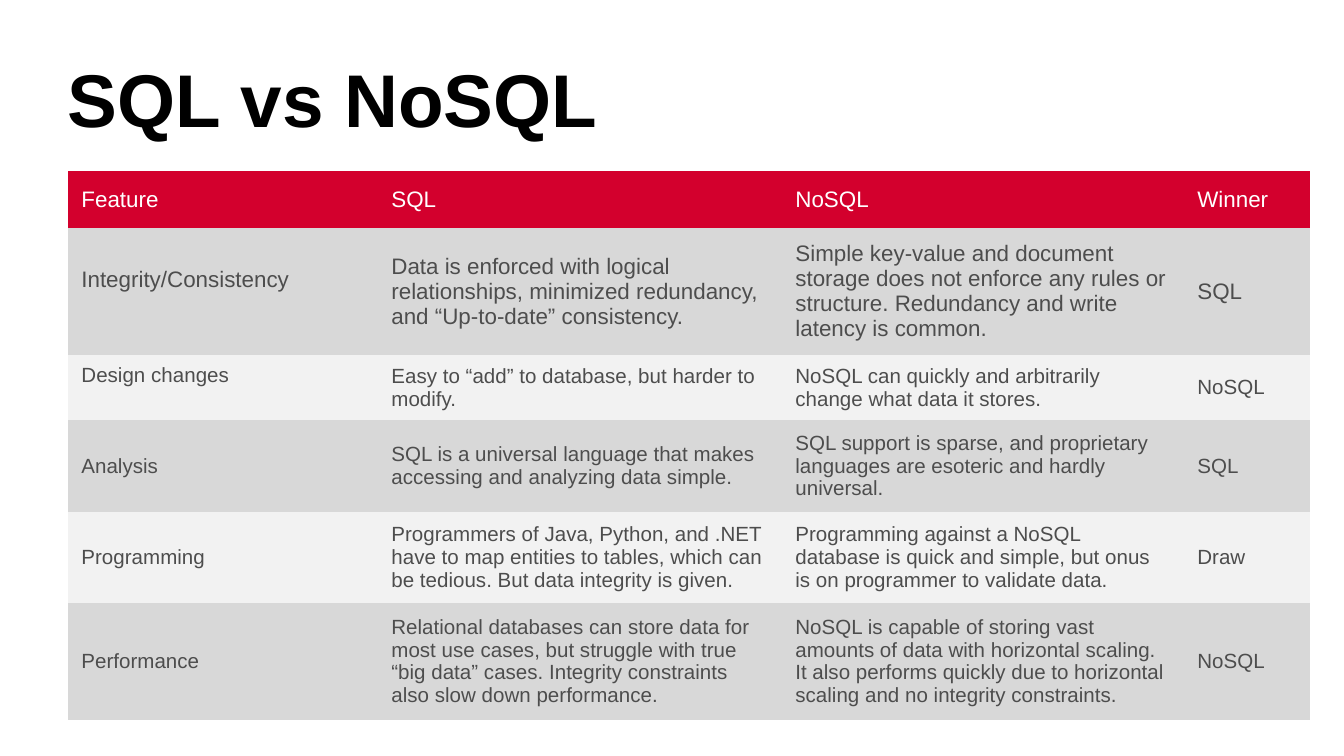
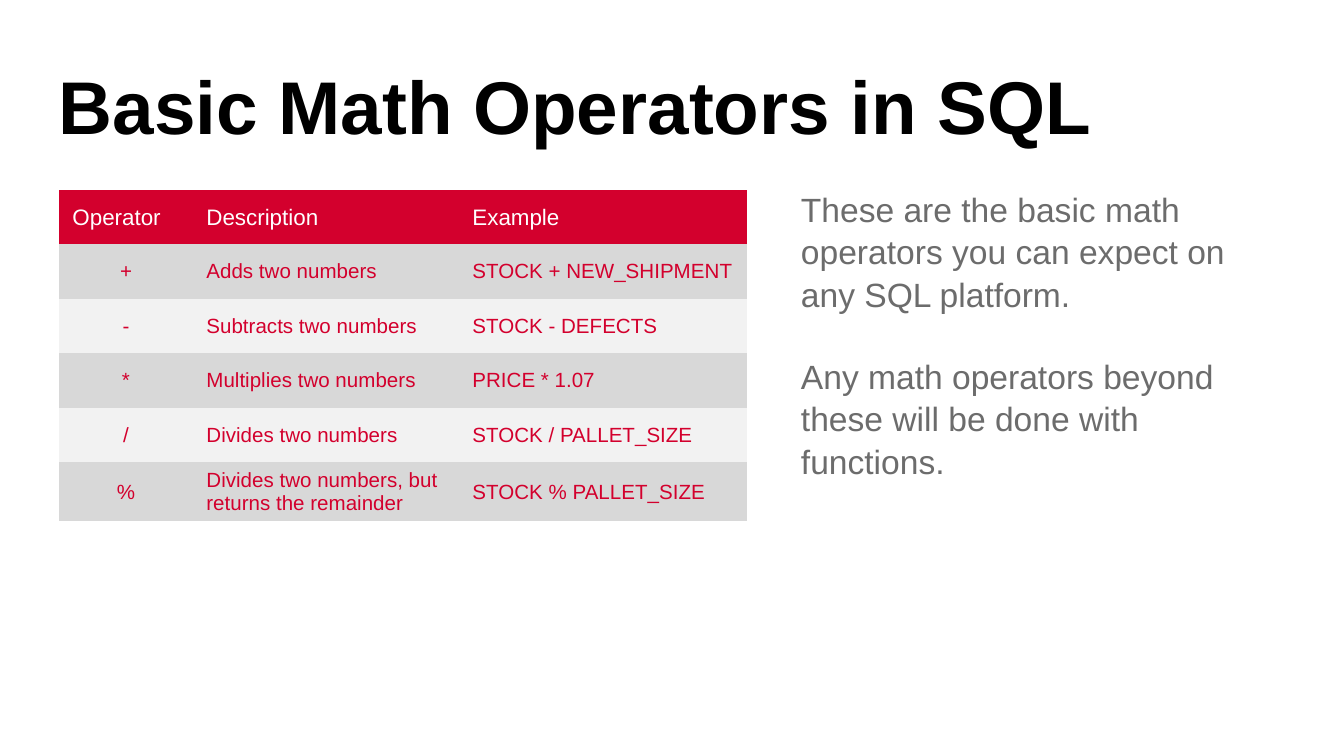
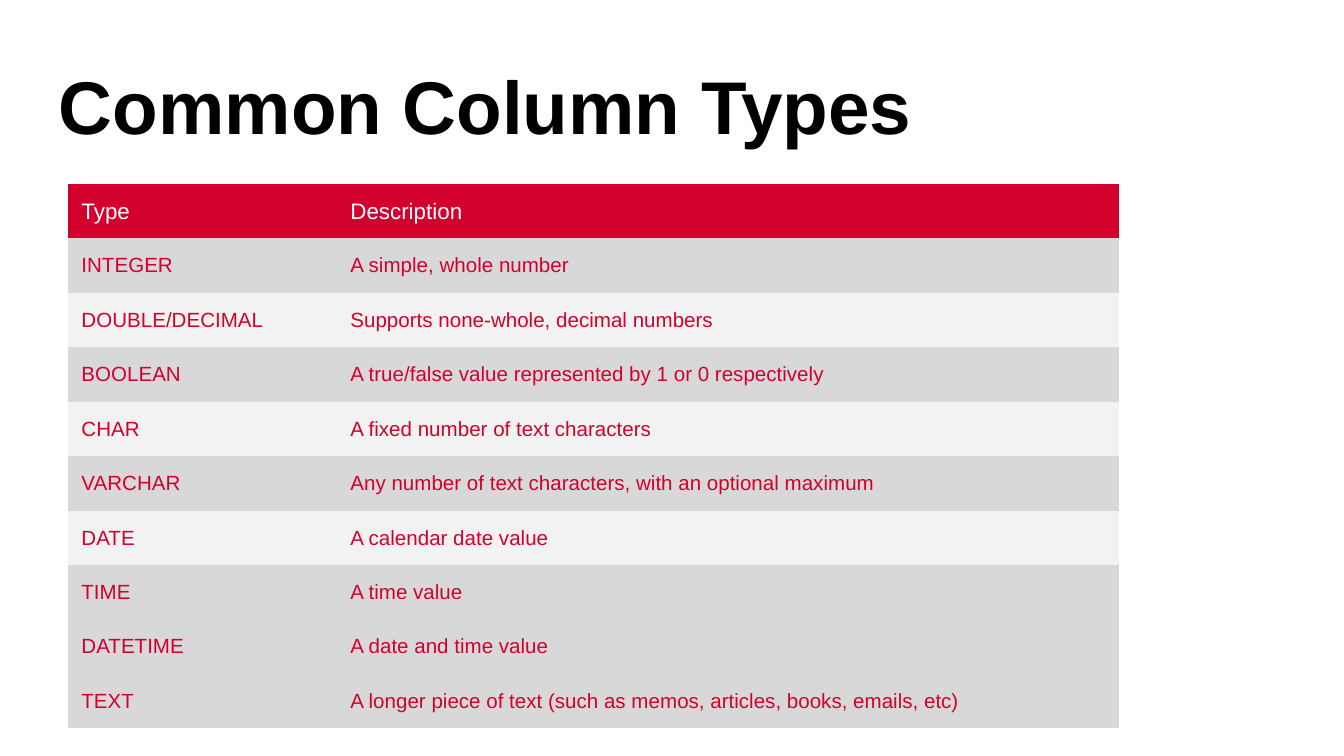
import pptx
import pptx.dml.color
import pptx.enum.text
import pptx.oxml.ns
import pptx.util

EMU_PER_PX = 914400 / 134.4
FONT = "Arial"
RED = "D3002D"
WHITE = "FFFFFF"
BLACK = "000000"
DARK_GREY = "4D4D4D"
TEXT_GREY = "6C6C6C"
BAND_DARK = "D8D8D8"
BAND_LIGHT = "F2F2F2"
PLAIN_TABLE_STYLE = "{2D5ABB26-0587-4C30-8999-92F81FD0307C}"
LEFT = pptx.enum.text.PP_ALIGN.LEFT
CENTER = pptx.enum.text.PP_ALIGN.CENTER
TOP = pptx.enum.text.MSO_ANCHOR.TOP
MIDDLE = pptx.enum.text.MSO_ANCHOR.MIDDLE
BOTTOM = pptx.enum.text.MSO_ANCHOR.BOTTOM

FEATURES = [
    ("Feature", "SQL", "NoSQL", "Winner"),
    ("Integrity/Consistency",
     "Data is enforced with logical relationships, minimized redundancy, and “Up-to-date” consistency.",
     "Simple key-value and document storage does not enforce any rules or structure. "
     "Redundancy and write latency is common.",
     "SQL"),
    ("Design changes",
     "Easy to “add” to database, but harder to modify.",
     "NoSQL can quickly and arbitrarily change what data it stores.",
     "NoSQL"),
    ("Analysis",
     "SQL is a universal language that makes accessing and analyzing data simple.",
     "SQL support is sparse, and proprietary languages are esoteric and hardly universal.",
     "SQL"),
    ("Programming",
     "Programmers of Java, Python, and .NET have to map entities to tables, "
     "which can be tedious. But data integrity is given.",
     "Programming against a NoSQL database is quick and simple, "
     "but onus is on programmer to validate data.",
     "Draw"),
    ("Performance",
     "Relational databases can store data for most use cases, but struggle with true "
     "“big data” cases. Integrity constraints also slow down performance.",
     "NoSQL is capable of storing vast amounts of data with horizontal scaling. "
     "It also performs quickly due to horizontal scaling and no integrity constraints.",
     "NoSQL"),
]

OPERATORS = [
    ("Operator", "Description", "Example"),
    ("+", "Adds two numbers", "STOCK + NEW_SHIPMENT"),
    ("-", "Subtracts two numbers", "STOCK - DEFECTS"),
    ("*", "Multiplies two numbers", "PRICE * 1.07"),
    ("/", "Divides two numbers", "STOCK / PALLET_SIZE"),
    ("%", "Divides two numbers, but returns the remainder", "STOCK % PALLET_SIZE"),
]

COLUMN_TYPES = [
    ("Type", "Description"),
    ("INTEGER", "A simple, whole number"),
    ("DOUBLE/DECIMAL", "Supports none-whole, decimal numbers"),
    ("BOOLEAN", "A true/false value represented by 1 or 0 respectively"),
    ("CHAR", "A fixed number of text characters"),
    ("VARCHAR", "Any number of text characters, with an optional maximum"),
    ("DATE", "A calendar date value"),
    ("TIME", "A time value"),
    ("DATETIME", "A date and time value"),
    ("TEXT", "A longer piece of text (such as memos, articles, books, emails, etc)"),
]


def px(length):
    return pptx.util.Emu(round(length * EMU_PER_PX))


def rgb(value):
    return pptx.dml.color.RGBColor.from_string(value)


def style_paragraph(para, size, color, bold=False, align=LEFT):
    para.alignment = align
    para.font.name = FONT
    para.font.size = pptx.util.Pt(size)
    para.font.bold = bold
    para.font.color.rgb = rgb(color)


def set_frame(frame, anchor, inset_y=0):
    frame.word_wrap = True
    frame.auto_size = pptx.enum.text.MSO_AUTO_SIZE.NONE
    frame.vertical_anchor = anchor
    frame.margin_left = frame.margin_right = 0
    frame.margin_top = frame.margin_bottom = px(inset_y)


def add_page(deck, title, left=59, top=51, anchor=BOTTOM, inset_y=0):
    page = deck.slides.add_slide(deck.slide_layouts[5])
    box = page.shapes.title
    box.left, box.top, box.width, box.height = px(left), px(top), px(1204), px(100)
    box.text_frame.text = title
    set_frame(box.text_frame, anchor, inset_y)
    para = box.text_frame.paragraphs[0]
    style_paragraph(para, 40, BLACK, bold=True)
    para.line_spacing = 0.9
    return page


def add_text(page, left, top, width, height, texts):
    box = page.shapes.add_textbox(px(left), px(top), px(width), px(height))
    frame = box.text_frame
    set_frame(frame, TOP)
    frame.text = "\n".join(texts)
    for index, para in enumerate(frame.paragraphs):
        style_paragraph(para, 18, TEXT_GREY)
        para.line_spacing = 1.05
        if index:
            para.space_before = px(40)


def band_fill(row):
    if row == 0:
        return RED
    return BAND_LIGHT if row % 2 == 0 and row < 8 else BAND_DARK


def add_grid(page, left, top, widths, heights, rows, color=RED):
    frame = page.shapes.add_table(len(rows), len(widths), px(left), px(top),
                                  px(sum(widths)), px(sum(heights)))
    table = frame.table
    style = frame._element.find(".//" + pptx.oxml.ns.qn("a:tableStyleId"))
    style.text = PLAIN_TABLE_STYLE
    table.first_row = table.horz_banding = False
    for column, width in zip(table.columns, widths):
        column.width = px(width)
    for index, (row, height, texts) in enumerate(zip(table.rows, heights, rows)):
        row.height = px(height)
        for cell, text in zip(row.cells, texts):
            cell.text = text
            cell.vertical_anchor = MIDDLE
            cell.fill.solid()
            cell.fill.fore_color.rgb = rgb(band_fill(index))
            style_paragraph(cell.text_frame.paragraphs[0],
                            11 if index else 12, color if index else WHITE)
    return table


def build_comparison(deck):
    page = add_page(deck, "SQL vs NoSQL", left=68, top=56, anchor=TOP, inset_y=7)
    table = add_grid(page, 68, 171, [310, 404, 402, 126],
                     [57, 127, 65, 92, 91, 117], FEATURES, DARK_GREY)
    for cell in table.rows[1].cells:
        cell.text_frame.paragraphs[0].font.size = pptx.util.Pt(12)
    for row in (1, 2):
        table.cell(row, 0).margin_bottom = px(31)


def build_operators(deck):
    page = add_page(deck, "Basic Math Operators in SQL")
    table = add_grid(page, 59, 190, [134, 266, 288], [54.5] * 5 + [59], OPERATORS)
    for row in range(1, len(OPERATORS)):
        table.cell(row, 0).text_frame.paragraphs[0].alignment = CENTER
    add_text(page, 801, 187, 461, 435, [
        "These are the basic math operators you can expect on any SQL platform.",
        "Any math operators beyond these will be done with functions.",
    ])


def build_column_types(deck):
    page = add_page(deck, "Common Column Types")
    add_grid(page, 68, 184, [269, 782], [54.5] * len(COLUMN_TYPES), COLUMN_TYPES)


def main():
    deck = pptx.Presentation()
    deck.slide_width, deck.slide_height = px(1344), px(756)
    build_comparison(deck)
    build_operators(deck)
    build_column_types(deck)
    deck.save("out.pptx")


if __name__ == "__main__":
    main()
